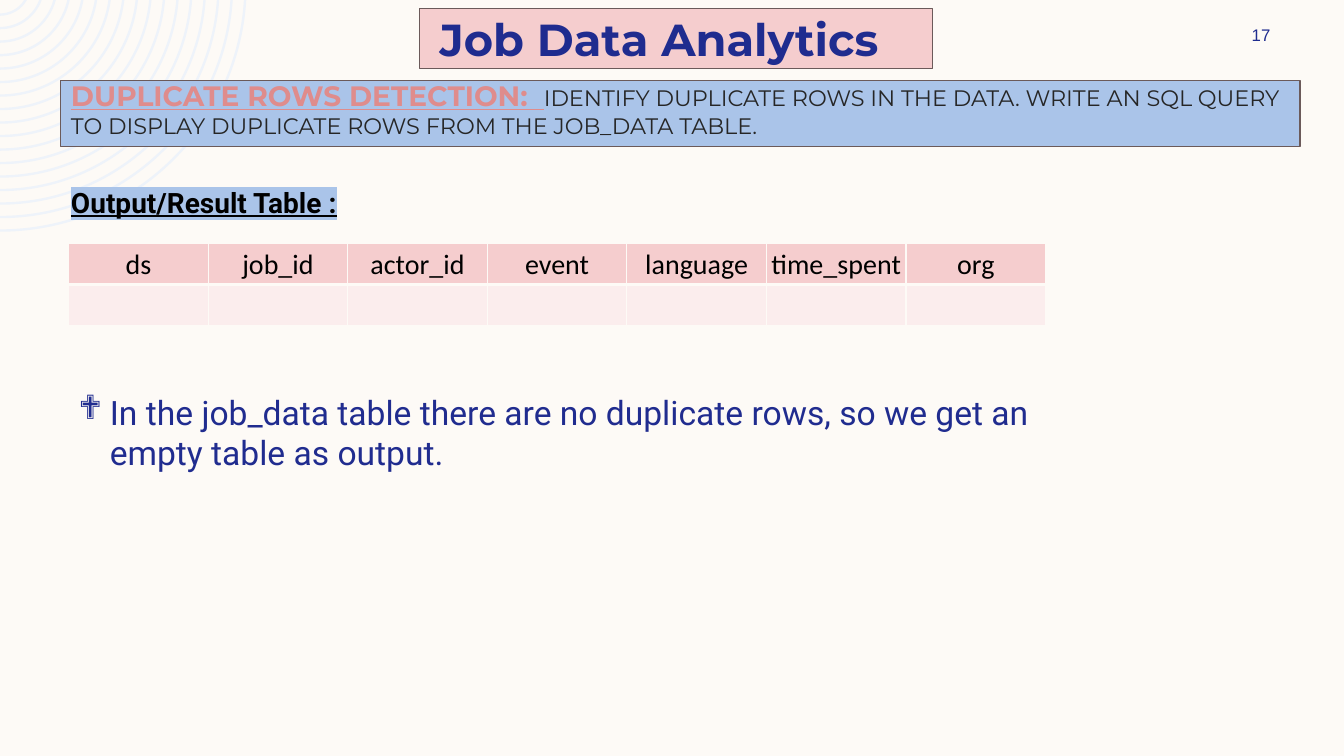
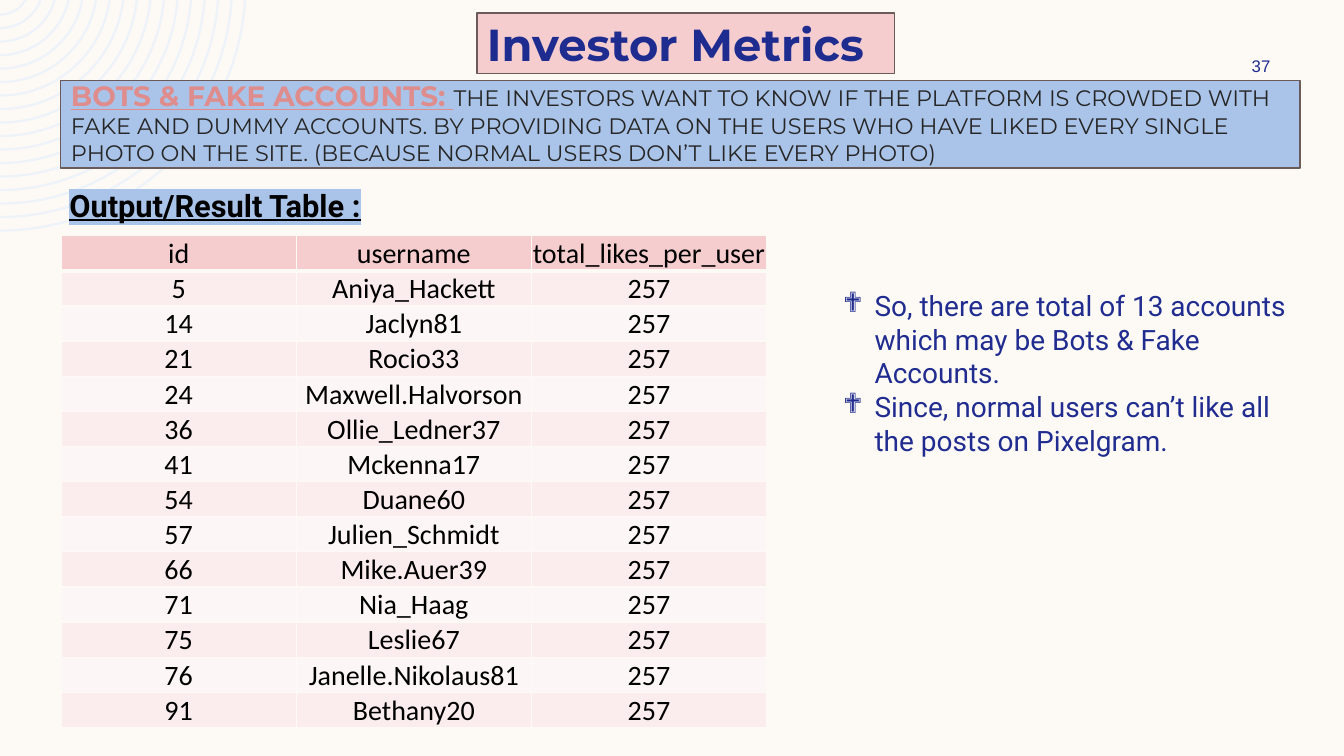
import math
from dataclasses import dataclass
from typing import Optional

import lxml.etree
import pptx
import pptx.dml.color
import pptx.enum.shapes
import pptx.enum.text
import pptx.oxml.ns
import pptx.presentation
import pptx.shapes.autoshape
import pptx.slide
import pptx.table
import pptx.text.text
import pptx.util

Cm = pptx.util.Cm
Pt = pptx.util.Pt
RGBColor = pptx.dml.color.RGBColor
Anchor = pptx.enum.text.MSO_ANCHOR
Align = pptx.enum.text.PP_ALIGN
qn = pptx.oxml.ns.qn

CREAM = RGBColor(0xFD, 0xFA, 0xF6)
RING_BLUE = RGBColor(0xEE, 0xF3, 0xFA)
BAND_BLUE = RGBColor(0xAA, 0xC4, 0xE9)
OUTLINE = RGBColor(0x6B, 0x5A, 0x5A)
PINK = RGBColor(0xF5, 0xCD, 0xCE)
ROW_ODD = RGBColor(0xFB, 0xED, 0xED)
ROW_EVEN = RGBColor(0xFD, 0xF6, 0xF6)
CORAL = RGBColor(0xDF, 0x8C, 0x8C)
NAVY = RGBColor(0x1F, 0x2C, 0x8F)
BULLET_NAVY = RGBColor(0x20, 0x2C, 0x8F)
CHARCOAL = RGBColor(0x26, 0x26, 0x26)
BLACK = RGBColor(0, 0, 0)

RING_COUNT = 17
RING_STEP = 0.34
RING_WIDTH = 0.06
RING_RADIUS = 6.22
RING_CENTRE_Y = -0.38


@dataclass(frozen=True)
class Box:
    left: float
    top: float
    width: float
    height: float

    def lengths(self) -> tuple[pptx.util.Length, ...]:
        return Cm(self.left), Cm(self.top), Cm(self.width), Cm(self.height)


@dataclass(frozen=True)
class ResultPage:
    title: str
    title_box: Box
    title_inset: float
    number: str
    number_top: float
    topic: str
    question: str
    band_height: float
    label_box: Box
    label_size: int
    table_box: Box
    rows: list[list[str]]
    findings_box: Box
    findings: list[str]
    findings_size: int


LIKERS = {
    5: "Aniya_Hackett", 14: "Jaclyn81", 21: "Rocio33", 24: "Maxwell.Halvorson",
    36: "Ollie_Ledner37", 41: "Mckenna17", 54: "Duane60", 57: "Julien_Schmidt",
    66: "Mike.Auer39", 71: "Nia_Haag", 75: "Leslie67", 76: "Janelle.Nikolaus81",
    91: "Bethany20",
}
JOB_COLUMNS = ["ds", "job_id", "actor_id", "event", "language", "time_spent", "org"]

PAGES = [
    ResultPage(
        title="Job Data Analytics",
        title_box=Box(10.57, 0.21, 12.93, 1.52),
        title_inset=0.51,
        number="17",
        number_top=0.51,
        topic="DUPLICATE ROWS DETECTION:  ",
        question="IDENTIFY DUPLICATE ROWS IN THE DATA. WRITE AN SQL QUERY TO DISPLAY "
                 "DUPLICATE ROWS FROM THE JOB_DATA TABLE.",
        band_height=1.66,
        label_box=Box(1.54, 4.54, 14.7, 1.12),
        label_size=20,
        table_box=Box(1.73, 6.14, 24.62, 2.06),
        rows=[JOB_COLUMNS, [""] * len(JOB_COLUMNS)],
        findings_box=Box(1.73, 9.75, 25.02, 3.07),
        findings=["In the job_data table there are no duplicate rows, so we get an "
                  "empty table as output."],
        findings_size=24,
    ),
    ResultPage(
        title="Investor Metrics",
        title_box=Box(12.02, 0.33, 10.52, 1.52),
        title_inset=0.25,
        number="37",
        number_top=1.27,
        topic="BOTS & FAKE ACCOUNTS: ",
        question="THE INVESTORS WANT TO KNOW IF THE PLATFORM IS CROWDED WITH FAKE AND "
                 "DUMMY ACCOUNTS. BY PROVIDING DATA ON THE USERS WHO HAVE LIKED EVERY "
                 "SINGLE PHOTO ON THE SITE. (BECAUSE NORMAL USERS DON’T LIKE EVERY PHOTO)",
        band_height=2.21,
        label_box=Box(1.5, 4.57, 30.89, 1.2),
        label_size=22,
        table_box=Box(1.54, 5.94, 17.78, 12.4),
        rows=[["id", "username", "total_likes_per_user"]]
             + [[str(key), name, "257"] for key, name in LIKERS.items()],
        findings_box=Box(21, 7.15, 11.76, 4.52),
        findings=["So, there are total of 13 accounts which may be Bots & Fake Accounts.",
                  "Since, normal users can’t like all the posts on Pixelgram."],
        findings_size=20,
    ),
]


def write(
    para: pptx.text.text._Paragraph,
    text: str,
    *,
    font: str,
    size: int,
    color: RGBColor,
    bold: bool = False,
    underline: bool = False,
    highlight: Optional[RGBColor] = None,
    align: Align = Align.LEFT,
) -> None:
    para.alignment = align
    span = para.add_run()
    span.text = text
    span.font.name = font
    span.font.size = Pt(size)
    span.font.bold = bold
    span.font.underline = underline
    span.font.color.rgb = color
    if highlight is not None:
        marker = lxml.etree.Element(qn("a:highlight"))
        lxml.etree.SubElement(marker, qn("a:srgbClr"), val=str(highlight))
        span.font.fill._xPr.find(qn("a:solidFill")).addnext(marker)


def add_text_frame(
    page: pptx.slide.Slide, box: Box, anchor: Anchor = Anchor.TOP
) -> pptx.text.text.TextFrame:
    frame = page.shapes.add_textbox(*box.lengths()).text_frame
    frame.word_wrap = True
    frame.vertical_anchor = anchor
    return frame


def add_panel(
    page: pptx.slide.Slide, box: Box, color: RGBColor
) -> pptx.shapes.autoshape.Shape:
    panel = page.shapes.add_shape(
        pptx.enum.shapes.MSO_SHAPE.RECTANGLE, *box.lengths()
    )
    panel.shadow.inherit = False
    panel.fill.solid()
    panel.fill.fore_color.rgb = color
    panel.line.color.rgb = OUTLINE
    panel.line.width = Pt(1)
    return panel


def arc_controls(radius: float) -> list[tuple[int, int]]:
    start = math.asin(-RING_CENTRE_Y / radius)
    pull = radius * 4 / 3 * math.tan((math.pi / 2 - start) / 4)
    first_x, first_y = radius * math.cos(start), -RING_CENTRE_Y
    last_y = RING_CENTRE_Y + radius
    points = [
        (first_x, 0),
        (first_x - pull * math.sin(start), pull * math.cos(start)),
        (pull, last_y),
        (0, last_y),
    ]
    return [(Cm(x), Cm(y)) for x, y in points]


def curve_segments(rings: pptx.shapes.autoshape.Shape) -> None:
    for start in list(rings._element.iter(qn("a:moveTo"))):
        lines = list(start.itersiblings())[:7]
        for controls in (lines[:3], lines[4:]):
            curve = lxml.etree.Element(qn("a:cubicBezTo"))
            controls[0].addprevious(curve)
            for line in controls:
                curve.append(line[0])
                line.getparent().remove(line)


def add_rings(deck: pptx.presentation.Presentation, page: pptx.slide.Slide) -> None:
    outlines = []
    for index in range(RING_COUNT):
        radius = RING_RADIUS - index * RING_STEP
        outlines.append(arc_controls(radius) + arc_controls(radius - RING_WIDTH)[::-1])
    builder = page.shapes.build_freeform(*outlines[0][0])
    for index, outline in enumerate(outlines):
        if index:
            builder.move_to(*outline[0])
        builder.add_line_segments(outline[1:], close=True)
    rings = builder.convert_to_shape()
    rings.shadow.inherit = False
    rings.fill.solid()
    rings.fill.fore_color.rgb = RING_BLUE
    rings.line.fill.background()
    curve_segments(rings)
    deck.slide_master.shapes._spTree.append(rings._element)


def set_borders(cell: pptx.table._Cell, bottom_points: int) -> None:
    properties = cell._tc.get_or_add_tcPr()
    for index, side in enumerate("LRTB"):
        width = Pt(bottom_points if side == "B" else 1)
        border = lxml.etree.Element(qn(f"a:ln{side}"), w=str(width))
        fill = lxml.etree.SubElement(border, qn("a:solidFill"))
        lxml.etree.SubElement(fill, qn("a:srgbClr"), val=str(CREAM))
        properties.insert(index, border)


def add_result_table(page: pptx.slide.Slide, box: Box, rows: list[list[str]]) -> None:
    column_count = len(rows[0])
    table = page.shapes.add_table(len(rows), column_count, *box.lengths()).table
    table.first_row = False
    table.horz_banding = False
    for column in table.columns:
        column.width = Cm(box.width / column_count)
    for row_index, values in enumerate(rows):
        table.rows[row_index].height = Cm(box.height / len(rows))
        is_header = row_index == 0
        color = PINK if is_header else ROW_ODD if row_index % 2 else ROW_EVEN
        for column_index, value in enumerate(values):
            cell = table.cell(row_index, column_index)
            cell.fill.solid()
            cell.fill.fore_color.rgb = color
            cell.margin_left = cell.margin_right = cell.margin_top = Cm(0.03)
            cell.margin_bottom = 0
            cell.vertical_anchor = Anchor.MIDDLE
            if value:
                write(cell.text_frame.paragraphs[0], value, font="Calibri", size=20,
                      color=BLACK, align=Align.CENTER)
            set_borders(cell, 3 if is_header else 1)


def add_findings(
    page: pptx.slide.Slide, box: Box, findings: list[str], size: int
) -> None:
    frame = add_text_frame(page, box)
    for index, finding in enumerate(findings):
        para = frame.add_paragraph() if index else frame.paragraphs[0]
        write(para, finding, font="Roboto", size=size, color=BULLET_NAVY)
        properties = para._p.get_or_add_pPr()
        properties.set("marL", str(Cm(0.79)))
        properties.set("indent", str(-Cm(0.79)))
        lxml.etree.SubElement(properties, qn("a:buFont"), typeface="Wingdings", charset="2")
        lxml.etree.SubElement(properties, qn("a:buChar"), char="❖")


def add_header(page: pptx.slide.Slide, content: ResultPage) -> None:
    add_panel(page, Box(1.53, 2.03, 31.23, content.band_height), BAND_BLUE)
    question = add_text_frame(
        page, Box(1.54, 1.86, 31.62, content.band_height + 0.17)
    ).paragraphs[0]
    write(question, content.topic, font="Montserrat", size=20, color=CORAL,
          bold=True, underline=True)
    write(question, content.question, font="Montserrat", size=16, color=CHARCOAL)

    title = add_panel(page, content.title_box, PINK).text_frame
    title.word_wrap = True
    title.vertical_anchor = Anchor.MIDDLE
    title.margin_left = Cm(content.title_inset)
    title.margin_right = 0
    write(title.paragraphs[0], content.title, font="Montserrat", size=32,
          color=NAVY, bold=True)

    number = add_text_frame(page, Box(30.41, content.number_top, 2.74, 0.76), Anchor.MIDDLE)
    write(number.paragraphs[0], content.number, font="Arial", size=12, color=NAVY,
          align=Align.CENTER)


def add_result_page(page: pptx.slide.Slide, content: ResultPage) -> None:
    add_header(page, content)
    label = add_text_frame(page, content.label_box)
    write(label.paragraphs[0], "Output/Result Table :", font="Roboto",
          size=content.label_size, color=BLACK, bold=True, underline=True,
          highlight=BAND_BLUE)
    add_result_table(page, content.table_box, content.rows)
    add_findings(page, content.findings_box, content.findings, content.findings_size)


def main() -> None:
    deck = pptx.Presentation()
    deck.slide_width = Cm(33.87)
    deck.slide_height = Cm(19.05)
    background = deck.slide_master.background.fill
    background.solid()
    background.fore_color.rgb = CREAM
    pages = [deck.slides.add_slide(deck.slide_layouts[6]) for _ in PAGES]
    add_rings(deck, pages[0])
    for page, content in zip(pages, PAGES):
        add_result_page(page, content)
    deck.save("out.pptx")


if __name__ == "__main__":
    main()
